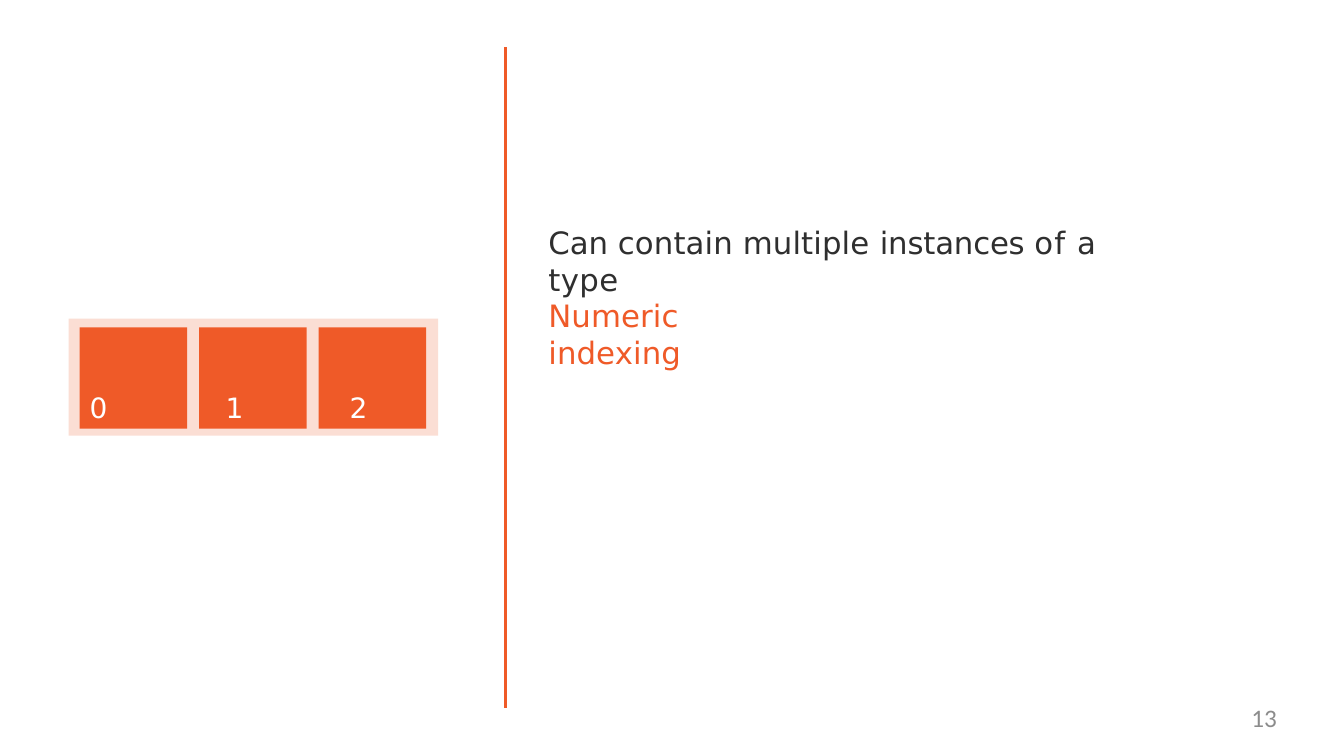
from lxml import etree
from pptx import Presentation
from pptx.dml.color import RGBColor
from pptx.enum.shapes import MSO_CONNECTOR, MSO_SHAPE
from pptx.enum.text import MSO_ANCHOR, MSO_AUTO_SIZE, PP_ALIGN
from pptx.oxml.ns import qn
from pptx.util import Cm, Pt

RECT, LINE = MSO_SHAPE.RECTANGLE, MSO_CONNECTOR.STRAIGHT
TOP, BOTTOM = MSO_ANCHOR.TOP, MSO_ANCHOR.BOTTOM
LEFT, RIGHT = PP_ALIGN.LEFT, PP_ALIGN.RIGHT
NO_FIT = MSO_AUTO_SIZE.NONE

COLORS = {"orange": "EF5A28", "dark": "2F2F2F", "white": "FFFFFF", "grey": "8C8C8C"}
SANS, NUMBER_FONT = "DejaVu Sans", "Calibri"

# Runs: (text, letter spacing in points)
TITLE = [("Can ", 0), ("contain multiple ", 0.1), ("instances ", -0.1),
         ("of ", 0.8), ("a ", -0.3), ("type", 0.3)]
SUBTITLE = [("Numeric indexing", 0.1)]
INDEXES = [("0\t", 1.8), ("1\t", -4.8), ("2", -0.5)]
PAGE = [("13", 0)]

# Boxes in cm: left, top, width, height
PANEL = (1.73, 8.03, 9.31, 2.95)
CELL = (2.01, 8.25, 2.71, 2.55)
CELL_PITCH = 3.01
INDEX_TABS = (3.43, 6.55)
DIVIDER_X, DIVIDER_TOP, DIVIDER_BOTTOM = 12.73, 1.19, 17.83


def cm(values):
    return [Cm(v) for v in values]


def add_rect(slide, box, color, opacity=None):
    s = slide.shapes.add_shape(RECT, *cm(box))
    s.shadow.inherit = False
    s.fill.solid()
    s.fill.fore_color.rgb = RGBColor.from_string(COLORS[color])
    s.line.fill.background()
    if opacity is not None:
        fill_color = s.fill._xPr.find(qn("a:solidFill"))[0]
        etree.SubElement(fill_color, qn("a:alpha")).set("val", str(opacity * 1000))


def set_text(s, box, runs, size, color, font=SANS, align=LEFT, anchor=TOP,
             insets=(0, 0, 0, 0), tabs=()):
    """Place s and fill it; insets are left, top, right, bottom in cm."""
    s.left, s.top, s.width, s.height = cm(box)
    tf = s.text_frame
    tf.word_wrap = True
    tf.auto_size = NO_FIT
    tf.vertical_anchor = anchor
    tf.margin_left, tf.margin_top, tf.margin_right, tf.margin_bottom = cm(insets)
    p = tf.paragraphs[0]
    p.alignment = align
    if tabs:
        tab_list = etree.SubElement(p._p.get_or_add_pPr(), qn("a:tabLst"))
        for pos in tabs:
            etree.SubElement(tab_list, qn("a:tab"), pos=str(Cm(pos)), algn="l")
    for text, spacing in runs:
        r = p.add_run()
        r.text = text
        r.font.name = font
        r.font.size = Pt(size)
        r.font.color.rgb = RGBColor.from_string(COLORS[color])
        r._r.get_or_add_rPr().set("spc", str(round(spacing * 100)))


def add_text(slide, box, *args, **options):
    set_text(slide.shapes.add_textbox(*cm(box)), box, *args, **options)


def add_divider(slide):
    line = slide.shapes.add_connector(
        LINE, *cm((DIVIDER_X, DIVIDER_TOP, DIVIDER_X, DIVIDER_BOTTOM)))
    line.line.color.rgb = RGBColor.from_string(COLORS["orange"])
    line.line.width = Pt(2.04)
    etree.SubElement(line._element.spPr, qn("a:effectLst"))


def main():
    prs = Presentation()
    prs.slide_width, prs.slide_height = Cm(33.87), Cm(19.05)
    slide = prs.slides.add_slide(prs.slide_layouts[5])

    add_divider(slide)
    add_rect(slide, PANEL, "orange", opacity=20)
    left, top, width, height = CELL
    for i in range(len(INDEXES)):
        add_rect(slide, (left + i * CELL_PITCH, top, width, height), "orange")

    set_text(slide.shapes.title, (4.37, 5.59, 25.12, 0.99), TITLE, 22, "dark",
             insets=(9.45, 0.05, 0, 0))
    add_text(slide, (13.79, 7.44, 6.85, 0.99), SUBTITLE, 22, "orange",
             insets=(0.03, 0.05, 0, 0))
    add_text(slide, PANEL, INDEXES, 20, "white", anchor=BOTTOM,
             insets=(0.53, 0, 0, 0.3), tabs=INDEX_TABS)
    add_text(slide, (24.38, 17.7, 7.8, 0.97), PAGE, 18, "grey",
             font=NUMBER_FONT, align=RIGHT)
    prs.save("out.pptx")


if __name__ == "__main__":
    main()
